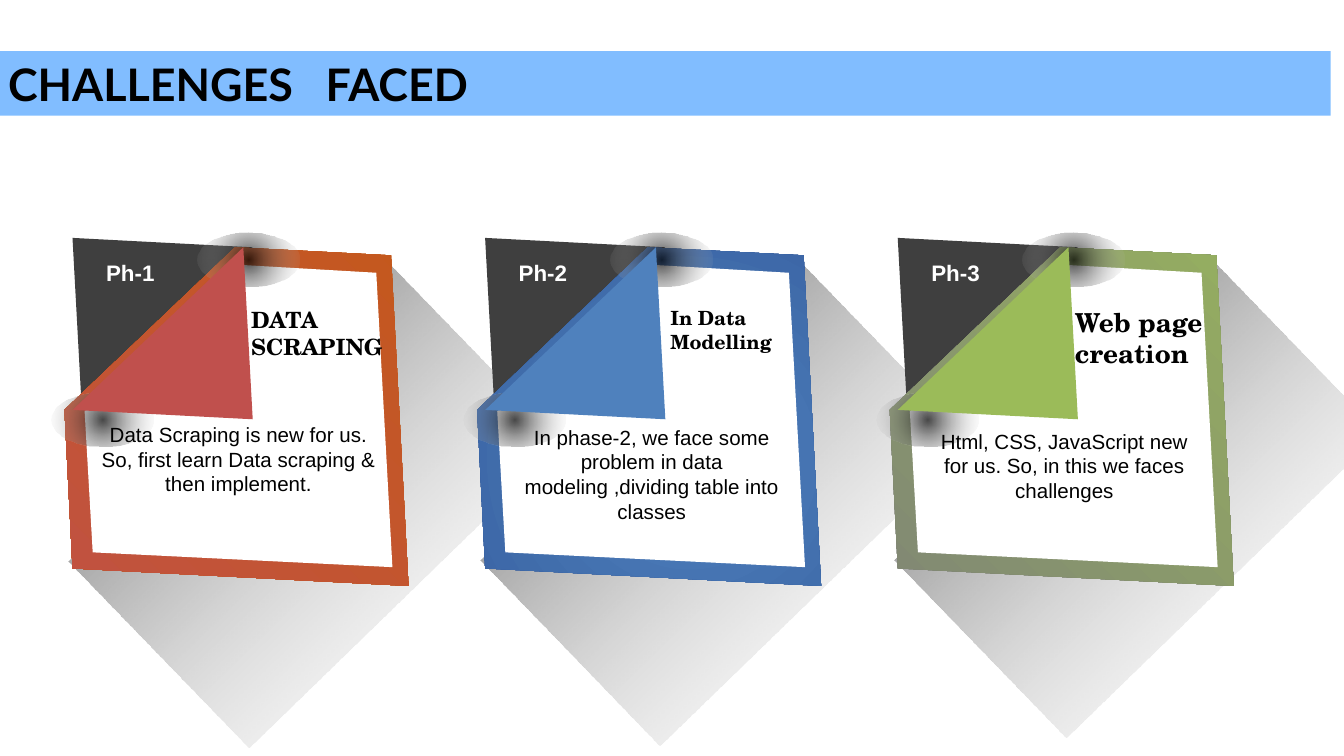
"""Build the "Challenges faced" slide with three folded-corner phase cards."""
import math

from lxml import etree
from pptx import Presentation
from pptx import util as u
from pptx.dml.color import RGBColor
from pptx.enum import shapes, text
from pptx.oxml import ns

PX = 9144
PITCH = 307
C = {"bar": "81BDFF", "black": "000000", "white": "FFFFFF", "dark": "3F3F3F",
     "glow": "D8D8D8", "red": "C0504D", "orange": "C55A11", "blue": "4F81BD",
     "navy": "2F5496", "green": "9BBB59", "grey": "7B7B7B"}


def paint(sp, first, last=None, alphas=(100, 100), focus=None):
    sp.shadow.inherit = False
    sp.line.fill.background()
    if last is None:
        sp.fill.solid()
        sp.fill.fore_color.rgb = RGBColor.from_string(C[first])
        return
    sp.fill.background()
    stops = "".join(
        f'<a:gs pos="{pos}"><a:srgbClr val="{C[c]}"><a:alpha val="{alpha * 1000}"/></a:srgbClr></a:gs>'
        for pos, c, alpha in zip((0, 100000), (first, last), alphas))
    if focus:
        sides = " ".join(f'{k}="{v * 1000}"' for k, v in zip("ltrb", focus))
        kind = f'<a:path path="circle"><a:fillToRect {sides}/></a:path>'
    else:
        kind = '<a:lin ang="0" scaled="0"/>'
    grad = etree.fromstring(
        f'<a:gradFill {ns.nsdecls("a")} rotWithShape="1"><a:gsLst>{stops}</a:gsLst>{kind}</a:gradFill>')
    old = sp._element.spPr.find(ns.qn("a:noFill"))
    old.getparent().replace(old, grad)


def polygon(parent, points, rot, dx):
    cos, sin = math.cos(math.radians(rot)), math.sin(math.radians(rot))
    flat = [((x + dx) * cos + y * sin, y * cos - (x + dx) * sin) for x, y in points]
    mx, my = ((min(axis) + max(axis)) / 2 for axis in zip(*flat))
    shift_x, shift_y = mx * cos - my * sin - mx, mx * sin + my * cos - my
    pts = [(round((x + shift_x) * PX), round((y + shift_y) * PX)) for x, y in flat]
    builder = parent.build_freeform(*pts[0])
    builder.add_line_segments(pts[1:], close=True)
    sp = builder.convert_to_shape()
    sp.rotation = rot
    return sp


prs = Presentation()
prs.slide_width = 1000 * PX
prs.slide_height = prs.slide_width * 9 // 16
s = prs.slides.add_slide(prs.slide_layouts[5])

title = s.shapes.title
title.left, title.top, title.width, title.height = (v * PX for v in (-1, 38, 991, 48))
title.fill.solid()
title.fill.fore_color.rgb = RGBColor.from_string(C["bar"])
tf = title.text_frame
tf.text = "CHALLENGES   FACED"
tf.auto_size = text.MSO_AUTO_SIZE.NONE
tf.vertical_anchor = text.MSO_ANCHOR.MIDDLE
tf.margin_left = tf.margin_right = 7 * PX
tf.margin_top = tf.margin_bottom = 4 * PX
p = tf.paragraphs[0]
p.alignment = text.PP_ALIGN.LEFT
p.font.name, p.font.size, p.font.bold = "Lato", u.Pt(24), True
p.font.color.rgb = RGBColor.from_string(C["black"])

cards = [
    ("red", "orange", (0, 100, 100, 0), (138, 211, 193, 325),
     "DATA SCRAPING", 12, (177, 223, 132, 56),
     "Data Scraping is new for us. So, first learn Data scraping & then implement.",
     (74, 314, 207, 56)),
    ("blue", "navy", (50, 50, 50, 50), (445, 210, 192, 325),
     "In Data Modelling", 10.5, (489, 223, 99, 45),
     "In phase-2, we face some problem in data modeling ,dividing table into classes",
     (383, 316, 204, 56)),
    ("green", "grey", (100, 0, 0, 100), (754, 207, 184, 325),
     "Web page creation", 14, (790, 223, 125, 57),
     "Html, CSS, JavaScript new for us. So, in this we faces challenges",
     (698, 319, 188, 56)),
]

for i, (main, edge, focus, shade, head, head_size, head_box, body, body_box) in enumerate(cards):
    dx = i * PITCH
    card = s.shapes.add_group_shape().shapes

    sp = card.add_shape(shapes.MSO_SHAPE.RECTANGLE, *(v * PX for v in shade))
    sp.rotation = 45.9
    paint(sp, "black", "white", (72, 0))

    corner = polygon(card, [(54, 177), (188, 184), (61, 306)], 316.2, dx)
    paint(corner, "dark")
    frame = polygon(card, [(175, 184), (291, 190), (304, 436), (54, 423), (48, 305)], 316.2, dx)
    paint(frame, main, edge, focus=focus)
    panel = polygon(card, [(177, 197), (280, 203), (292, 422), (69, 411), (63, 306)], 316.2, dx)
    paint(panel, "white")

    for x, y in ((147, 173), (38, 292)):
        sp = card.add_shape(shapes.MSO_SHAPE.OVAL, (x + dx) * PX, y * PX, 76 * PX, 40 * PX)
        paint(sp, "black", "glow", (72, 0), (50, 50, 50, 50))

    fold = polygon(card, [(188, 312), (54, 305), (181, 184)], 136.2, dx)
    paint(fold, main)

    labels = [
        (head, head_box, "TeX Gyre Schola", head_size, True, "black", text.PP_ALIGN.LEFT, (10, 5)),
        (body, body_box, "Arial", 11, False, "black", text.PP_ALIGN.CENTER, (0, 0)),
        (f"Ph-{i + 1}", (63 + dx, 188, 68, 30), "Arial", 12, True, "white",
         text.PP_ALIGN.CENTER, (10, 5)),
    ]
    for words, box, font, size, bold, color, align, (mx, my) in labels:
        tf = card.add_textbox(*(v * PX for v in box)).text_frame
        tf.word_wrap = True
        tf.auto_size = text.MSO_AUTO_SIZE.SHAPE_TO_FIT_TEXT
        tf.margin_left = tf.margin_right = mx * PX
        tf.margin_top = tf.margin_bottom = my * PX
        tf.text = words
        p = tf.paragraphs[0]
        p.alignment = align
        p.font.name, p.font.size, p.font.bold = font, u.Pt(size), bold
        p.font.color.rgb = RGBColor.from_string(C[color])

prs.save("out.pptx")
